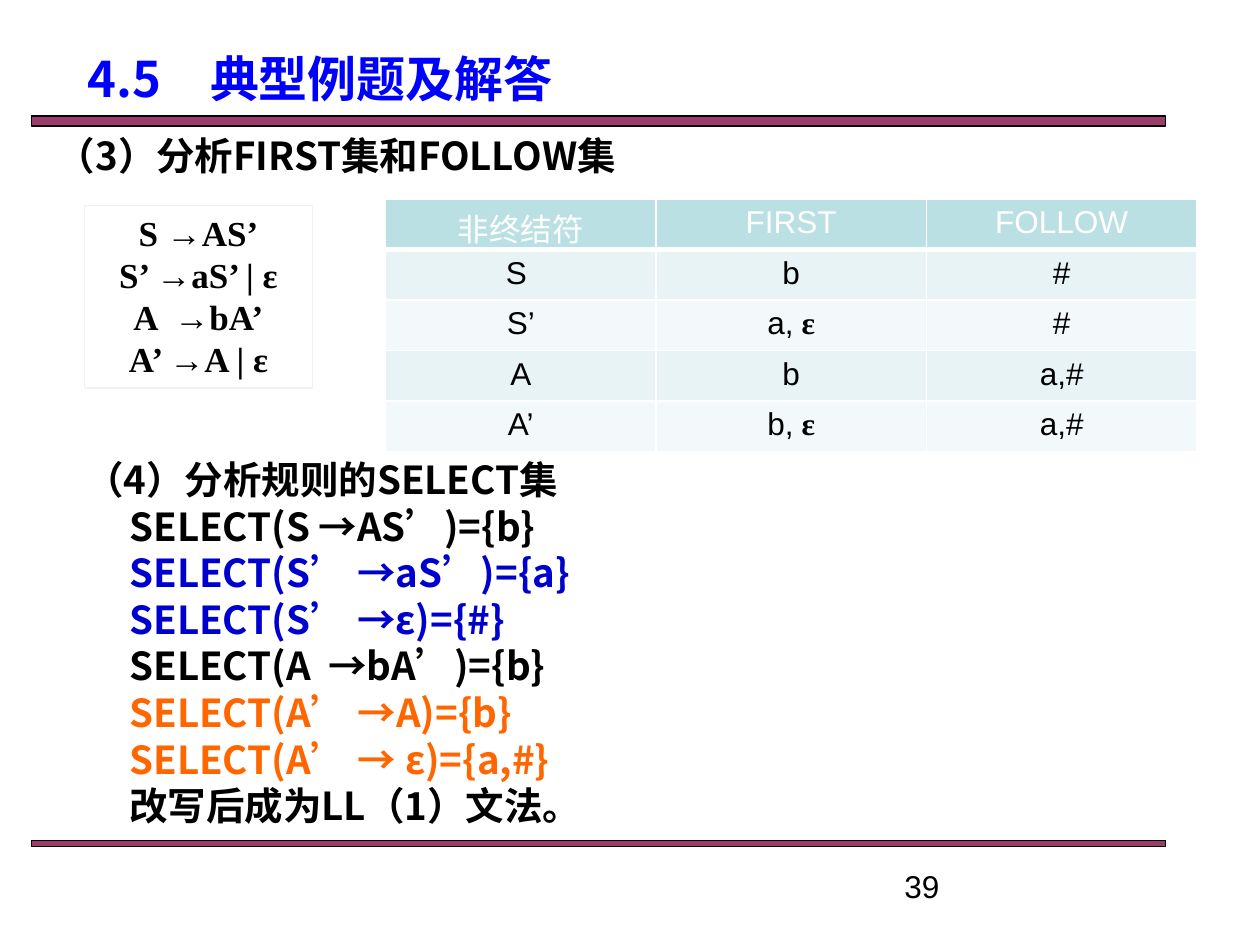
from dataclasses import dataclass
from typing import Any, Optional

import pptx
import pptx.dml.color
import pptx.enum.shapes
import pptx.enum.text
import pptx.oxml
import pptx.oxml.ns
import pptx.util

WIDE, HIGH = 10, 7.5
ALIGN = pptx.enum.text.PP_ALIGN
RECT = pptx.enum.shapes.MSO_SHAPE.RECTANGLE


@dataclass(frozen=True)
class Theme:
    sans: str = "Arial"
    song: str = "Noto Sans CJK SC"
    serif: str = "Times New Roman"
    black: str = "000000"
    white: str = "FFFFFF"
    title: str = "0000FF"
    blue: str = "0000CE"
    orange: str = "FF6600"
    plum: str = "993366"
    frame: str = "F2F2F2"
    head: str = "BBE0E3"
    bands: tuple[str, str] = ("E7F3F4", "F3F9FA")
    big: int = 28
    mid: int = 22
    rule: int = 20
    small: int = 18


@dataclass(frozen=True)
class Box:
    left: float
    top: float
    width: float
    height: float

    def emu(self) -> list[int]:
        shares = (self.left, self.top, self.width, self.height)
        return [pptx.util.Inches(value) for value in shares]


@dataclass(frozen=True)
class Span:
    text: str
    font: Optional[str] = None
    bold: Optional[bool] = None


@dataclass(frozen=True)
class Line:
    spans: tuple[Span, ...]
    color: Optional[str] = None
    indent: float = 0


THEME = Theme()
BARS = (Box(0.25, 0.92, 9, 0.08), Box(0.25, 6.67, 9, 0.05))
GRID = Box(3.06, 1.58, 6.44, 2)
EPS = Span(" ε", THEME.serif, True)
ROWS = (
    ("非终结符", "FIRST", "FOLLOW"),
    ("S ", "b", "#"),
    ("S’", (Span("a,"), EPS), "#"),
    ("A", "b", "a,#"),
    ("A’", (Span("b,"), EPS), "a,#"),
)
RULES = ("S →AS’", "S’ →aS’ | ε", "A  →bA’", "A’ →A | ε")
SETS = (
    ("SELECT(S →AS’)={b}", THEME.black),
    ("SELECT(S’ →aS’)={a}", THEME.blue),
    ("SELECT(S’ →ε)={#}", THEME.blue),
    ("SELECT(A  →bA’)={b}", THEME.black),
    ("SELECT(A’ →A)={b}", THEME.orange),
    ("SELECT(A’ → ε)={a,#}", THEME.orange),
    ("改写后成为LL（1）文法。", THEME.black),
)


def rgb(code: str) -> pptx.dml.color.RGBColor:
    return pptx.dml.color.RGBColor.from_string(code)


def write(frame: Any, lines: tuple, *, size: int, font: str = THEME.song,
          color: str = THEME.black, bold: bool = True,
          align: Any = ALIGN.CENTER, lead: Optional[float] = 1.21) -> None:
    frame.word_wrap = True
    frame.vertical_anchor = pptx.enum.text.MSO_ANCHOR.TOP
    for index, item in enumerate(lines):
        line = item if isinstance(item, Line) else Line((Span(item),))
        para = frame.paragraphs[0] if index == 0 else frame.add_paragraph()
        para.alignment = align
        para.space_before = pptx.util.Pt(0)
        if lead:
            para.line_spacing = pptx.util.Pt(round(size * lead, 1))
        if line.indent:
            inset = pptx.util.Inches(line.indent)
            para._p.get_or_add_pPr().set("marL", str(inset))
        for span in line.spans:
            run = para.add_run()
            run.text = span.text
            face = run.font
            face.name = span.font or font
            face.size = pptx.util.Pt(size)
            face.bold = bold if span.bold is None else span.bold
            face.color.rgb = rgb(line.color or color)
            if face.name == THEME.song:
                east = pptx.oxml.parse_xml(
                    f'<a:ea {pptx.oxml.ns.nsdecls("a")} typeface="{face.name}"/>')
                run._r.rPr.find(pptx.oxml.ns.qn("a:latin")).addnext(east)


def label(slide: Any, box: Box, lines: tuple, **style: Any) -> None:
    write(slide.shapes.add_textbox(*box.emu()).text_frame, lines, **style)


def panel(slide: Any, box: Box, edge: str, fill: Optional[str] = None) -> Any:
    shape = slide.shapes.add_shape(RECT, *box.emu())
    shape.shadow.inherit = False
    shape.line.color.rgb = rgb(edge)
    shape.line.width = pptx.util.Pt(0.75)
    if fill:
        shape.fill.solid()
        shape.fill.fore_color.rgb = rgb(fill)
        tint = shape._element.spPr.find(".//" + pptx.oxml.ns.qn("a:srgbClr"))
        tint.append(pptx.oxml.parse_xml(
            f'<a:alpha {pptx.oxml.ns.nsdecls("a")} val="96000"/>'))
    else:
        shape.fill.background()
    return shape


def edge(cell: Any, base: float) -> None:
    props = cell._tc.get_or_add_tcPr()
    for spot, side in enumerate("LRTB"):
        width = pptx.util.Pt(base if side == "B" else 1)
        props.insert(spot, pptx.oxml.parse_xml(
            f'<a:ln{side} {pptx.oxml.ns.nsdecls("a")} w="{width}"><a:solidFill>'
            f'<a:srgbClr val="{THEME.white}"/></a:solidFill></a:ln{side}>'))


def table(slide: Any) -> None:
    grid = slide.shapes.add_table(len(ROWS), len(ROWS[0]), *GRID.emu()).table
    grid.first_row = grid.horz_banding = False
    for row, texts in enumerate(ROWS):
        for col, text in enumerate(texts):
            cell = grid.cell(row, col)
            cell.fill.solid()
            shade = THEME.bands[(row - 1) % 2] if row else THEME.head
            cell.fill.fore_color.rgb = rgb(shade)
            edge(cell, 1 if row else 3)
            item = text if isinstance(text, str) else Line(text)
            write(cell.text_frame, (item,), size=THEME.small, font=THEME.sans,
                  color=THEME.black if row else THEME.white, bold=False, lead=None)


def build() -> None:
    deck = pptx.Presentation()
    deck.slide_width = pptx.util.Inches(WIDE)
    deck.slide_height = pptx.util.Inches(HIGH)
    slide = deck.slides.add_slide(deck.slide_layouts[5])
    for bar in BARS:
        panel(slide, bar, THEME.black, THEME.plum)
    label(slide, Box(7.08, 6.83, 2.33, 0.27), ("39",), size=THEME.small,
          font=THEME.sans, bold=False, align=ALIGN.LEFT, lead=None)
    label(slide, Box(-1.33, 1, 8, 0.47), ("（3）分析FIRST集和FOLLOW集",),
          size=THEME.mid)
    table(slide)
    rules = panel(slide, Box(0.67, 1.63, 1.81, 1.45), THEME.frame)
    write(rules.text_frame, RULES, size=THEME.rule, font=THEME.serif, lead=1.2)
    steps = tuple(Line((Span(text),), color, 0.35) for text, color in SETS)
    label(slide, Box(0.58, 3.57, 7.58, 3.06), ("（4）分析规则的SELECT集", *steps),
          size=THEME.mid, align=ALIGN.LEFT)
    title = slide.shapes.title
    title.left, title.top, title.width, title.height = Box(
        -0.67, 0.33, 6.42, 0.58).emu()
    write(title.text_frame, ("4.5　典型例题及解答",), size=THEME.big,
          color=THEME.title)
    deck.save("out.pptx")


build()
